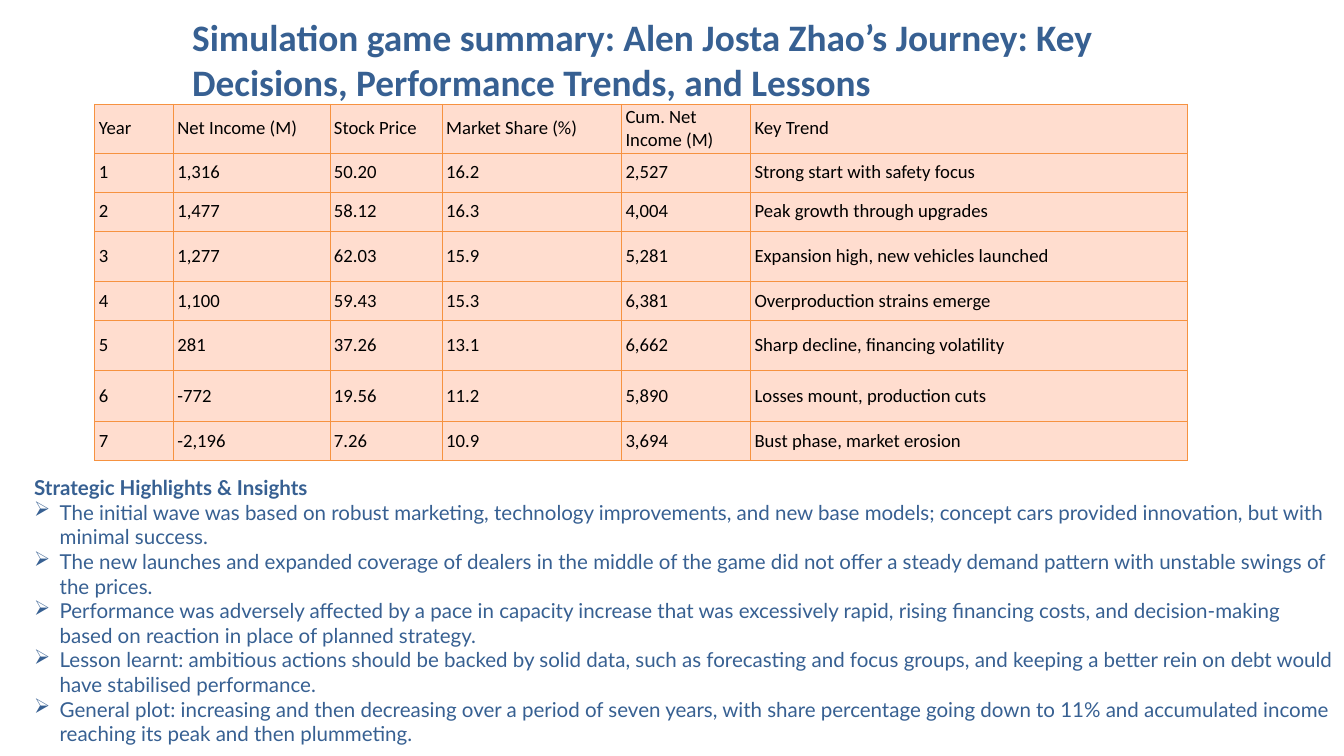
from dataclasses import dataclass

from pptx import Presentation
from pptx.dml.color import RGBColor
from pptx.enum import text as t
from pptx.oxml import parse_xml
from pptx.oxml.ns import nsdecls
from pptx.util import Inches, Pt


@dataclass(frozen=True)
class Theme:
    blue: str = "376092"
    black: str = "000000"
    peach: str = "FFDDCF"
    orange: str = "F69240"
    table_font: str = "Calibri"
    body_font: str = "Lato"
    title_size: int = 40
    table_size: int = 20
    body_size: int = 22


THEME = Theme()

TITLE = ("Simulation game summary: Alen Josta Zhao’s Journey: "
         "Key Decisions, Performance Trends, and Lessons")

COLUMN_WIDTHS = [1.17, 2.33, 1.67, 2.67, 1.92, 6.5]
ROW_HEIGHTS = [0.4, 0.58, 0.58, 0.75, 0.58, 0.75, 0.75, 0.58]
RESULTS = [
    ["Year", "Net Income (M)", "Stock Price", "Market Share (%)", "Cum. Net Income (M)", "Key Trend"],
    ["1", "1,316", "50.20", "16.2", "2,527", "Strong start with safety focus"],
    ["2", "1,477", "58.12", "16.3", "4,004", "Peak growth through upgrades"],
    ["3", "1,277", "62.03", "15.9", "5,281", "Expansion high, new vehicles launched"],
    ["4", "1,100", "59.43", "15.3", "6,381", "Overproduction strains emerge"],
    ["5", "281", "37.26", "13.1", "6,662", "Sharp decline, financing volatility"],
    ["6", "-772", "19.56", "11.2", "5,890", "Losses mount, production cuts"],
    ["7", "-2,196", "7.26", "10.9", "3,694", "Bust phase, market erosion"],
]

INSIGHTS_HEADING = "Strategic Highlights & Insights"
INSIGHTS = [
    "The initial wave was based on robust marketing, technology improvements, and new base models; "
    "concept cars provided innovation, but with minimal success.",
    "The new launches and expanded coverage of dealers in the middle of the game did not offer "
    "a steady demand pattern with unstable swings of the prices.",
    "Performance was adversely affected by a pace in capacity increase that was excessively rapid, "
    "rising financing costs, and decision-making based on reaction in place of planned strategy.",
    "Lesson learnt: ambitious actions should be backed by solid data, such as forecasting and focus "
    "groups, and keeping a better rein on debt would have stabilised performance.",
    "General plot: increasing and then decreasing over a period of seven years, with share percentage "
    "going down to 11% and accumulated income reaching its peak and then plummeting.",
]


def style_runs(para, font, size, color, bold=False):
    for span in para.runs:
        span.font.name = font
        span.font.size = Pt(size)
        span.font.bold = bold
        span.font.color.rgb = RGBColor.from_string(color)


def add_text_frame(page, box):
    frame = page.shapes.add_textbox(*map(Inches, box)).text_frame
    frame.word_wrap = True
    frame.auto_size = t.MSO_AUTO_SIZE.SHAPE_TO_FIT_TEXT
    return frame


def add_title(page, box):
    frame = add_text_frame(page, box)
    frame.margin_left = frame.margin_right = frame.margin_top = frame.margin_bottom = 0
    frame.text = TITLE
    style_runs(frame.paragraphs[0], THEME.table_font, THEME.title_size, THEME.blue, bold=True)


def add_borders(cell, color, width):
    properties = cell._tc.get_or_add_tcPr()
    for side in ("lnL", "lnR", "lnT", "lnB"):
        properties.append(parse_xml(
            f'<a:{side} {nsdecls("a")} w="{Pt(width)}"><a:solidFill>'
            f'<a:srgbClr val="{color}"/></a:solidFill></a:{side}>'))


def style_cell(cell):
    cell.margin_left = cell.margin_right = Inches(0.06)
    cell.margin_top = cell.margin_bottom = Inches(0.03)
    cell.vertical_anchor = t.MSO_ANCHOR.MIDDLE
    add_borders(cell, THEME.orange, 0.75)
    cell.fill.solid()
    cell.fill.fore_color.rgb = RGBColor.from_string(THEME.peach)
    style_runs(cell.text_frame.paragraphs[0], THEME.table_font, THEME.table_size, THEME.black)


def add_results_table(page, box):
    table = page.shapes.add_table(len(RESULTS), len(COLUMN_WIDTHS), *map(Inches, box)).table
    table.first_row = table.horz_banding = False
    for column, width in zip(table.columns, COLUMN_WIDTHS):
        column.width = Inches(width)
    for row, height, values in zip(table.rows, ROW_HEIGHTS, RESULTS):
        row.height = Inches(height)
        for cell, value in zip(row.cells, values):
            cell.text_frame.text = value
            style_cell(cell)


def add_bullet(para, indent):
    properties = para._p.get_or_add_pPr()
    properties.set("marL", str(Inches(indent)))
    properties.set("indent", str(-Inches(indent)))
    properties.append(parse_xml(f'<a:buChar {nsdecls("a")} char="➢"/>'))


def add_insights(page, box):
    frame = add_text_frame(page, box)
    frame.text = INSIGHTS_HEADING
    style_runs(frame.paragraphs[0], THEME.body_font, THEME.body_size, THEME.blue, bold=True)
    for insight in INSIGHTS:
        para = frame.add_paragraph()
        para.text = insight
        add_bullet(para, 0.38)
        style_runs(para, THEME.body_font, THEME.body_size, THEME.blue)


def main():
    deck = Presentation()
    deck.slide_width, deck.slide_height = Inches(20), Inches(11.25)
    page = deck.slides.add_slide(deck.slide_layouts[6])
    add_title(page, (2.86, 0.21, 15.25, 1.35))
    add_results_table(page, (1.41, 1.55, sum(COLUMN_WIDTHS), sum(ROW_HEIGHTS)))
    add_insights(page, (0.41, 7.02, 19.59, 4.17))
    deck.save("out.pptx")


if __name__ == "__main__":
    main()
